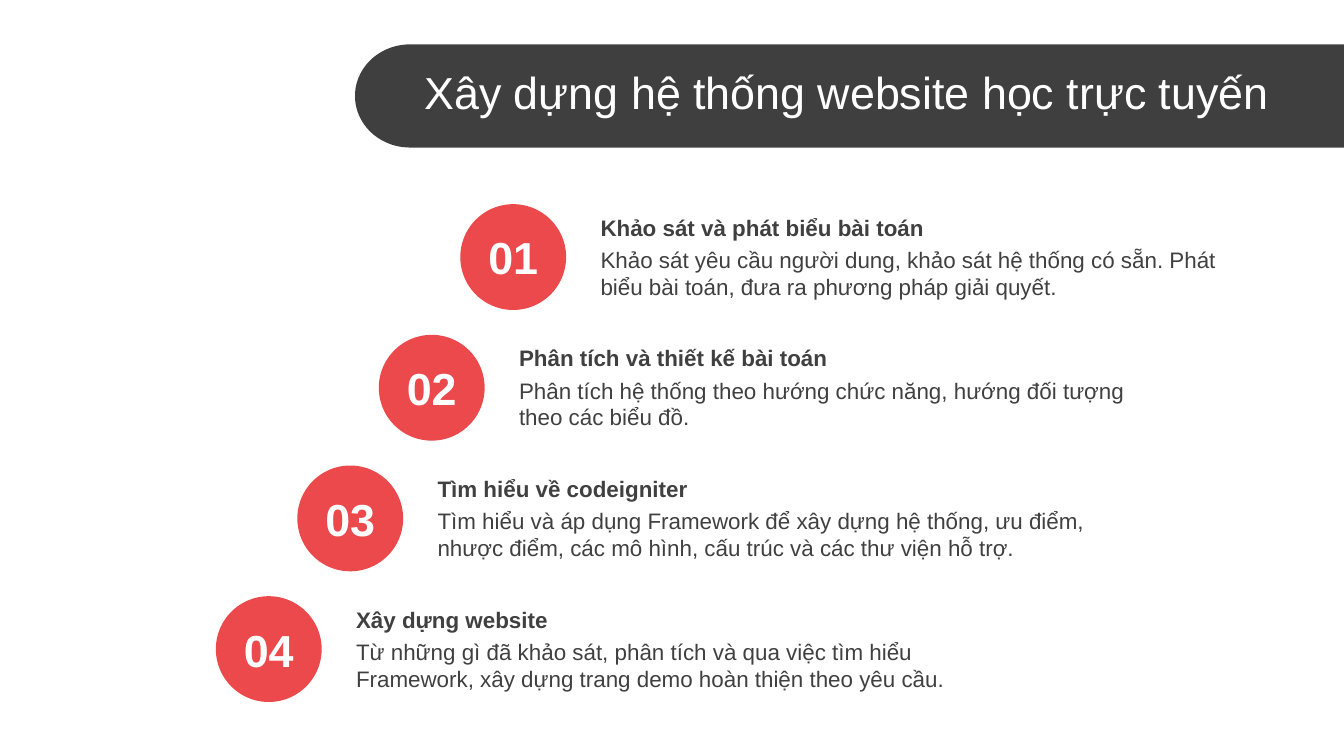
"""Build a slide listing four stages of an online learning website project."""
from math import cos, pi, sin

from pptx import Presentation
from pptx.dml.color import RGBColor
from pptx.enum.shapes import MSO_SHAPE
from pptx.enum.text import MSO_ANCHOR, MSO_AUTO_SIZE, PP_ALIGN
from pptx.util import Cm, Pt

OVAL = MSO_SHAPE.OVAL
MIDDLE = MSO_ANCHOR.MIDDLE
GROW = MSO_AUTO_SIZE.SHAPE_TO_FIT_TEXT
FIXED = MSO_AUTO_SIZE.NONE
LEFT, CENTER = PP_ALIGN.LEFT, PP_ALIGN.CENTER

COLORS = {"banner": "3F3F3F", "circle": "EB494B", "text": "404040", "light": "FFFFFF"}

STAGES = [
    ("Khảo sát và phát biểu bài toán",
     "Khảo sát yêu cầu người dung, khảo sát hệ thống có sẵn. Phát biểu bài toán, "
     "đưa ra phương pháp giải quyết."),
    ("Phân tích và thiết kế bài toán",
     "Phân tích hệ thống theo hướng chức năng, hướng đối tượng theo các biểu đồ."),
    ("Tìm hiểu về codeigniter",
     "Tìm hiểu và áp dụng Framework để xây dựng hệ thống, ưu điểm, nhược điểm, "
     "các mô hình, cấu trúc và các thư viện hỗ trợ."),
    ("Xây dựng website",
     "Từ những gì đã khảo sát, phân tích và qua việc tìm hiểu Framework, "
     "xây dựng trang demo hoàn thiện theo yêu cầu."),
]


def paint(shape, color):
    shape.fill.solid()
    shape.fill.fore_color.rgb = RGBColor.from_string(COLORS[color])
    shape.line.fill.background()
    shape.shadow.inherit = False


def add_text(shapes, box, text, size, color, bold=False, align=LEFT, fit=GROW):
    frame = shapes.add_textbox(*[Cm(length) for length in box]).text_frame
    frame.word_wrap = True
    frame.auto_size = fit
    frame.vertical_anchor = MIDDLE
    paragraph = frame.paragraphs[0]
    paragraph.text = text
    paragraph.alignment = align
    paragraph.font.name = "Arial"
    paragraph.font.size = Pt(size)
    paragraph.font.bold = bold
    paragraph.font.color.rgb = RGBColor.from_string(COLORS[color])


prs = Presentation()
prs.slide_width, prs.slide_height = Cm(25.4), Cm(14.29)
slide = prs.slides.add_slide(prs.slide_layouts[6])

banner_top, banner_bottom, banner_right = 0.84, 2.79, 25.4
cap_x, cap_y = 7.75, (banner_top + banner_bottom) / 2
cap_width, cap_height = 1.04, (banner_bottom - banner_top) / 2
angles = [pi / 2 + pi * step / 48 for step in range(49)]
cap = [(cap_x + cap_width * cos(a), cap_y + cap_height * sin(a)) for a in angles]
outline = cap + [(banner_right, banner_top), (banner_right, banner_bottom)]
points = [(Cm(x), Cm(y)) for x, y in outline]
builder = slide.shapes.build_freeform(*points[0])
builder.add_line_segments(points[1:], close=True)
paint(builder.convert_to_shape(), "banner")
add_text(slide.shapes, (7.77, 0.94, 17.63, 1.6),
         "Xây dựng hệ thống website học trực tuyến", 24, "light", fit=FIXED)

diameter = 2
for index, (heading, description) in enumerate(STAGES):
    left, top = 8.7 - 1.54 * index, 3.86 + 2.47 * index
    circle = slide.shapes.add_shape(OVAL, Cm(left), Cm(top), Cm(diameter), Cm(diameter))
    paint(circle, "circle")
    add_text(slide.shapes, (left, top + 0.36, diameter, 1.28), f"{index + 1:02}",
             24, "light", bold=True, align=CENTER)
    stage = slide.shapes.add_group_shape().shapes
    add_text(stage, (left + 2.4, top + 0.66, 12.8, 1.28), description, 12, "text")
    add_text(stage, (left + 2.4, top + 0.05, 12.8, 0.77), heading, 12, "text", bold=True)

prs.save("out.pptx")
